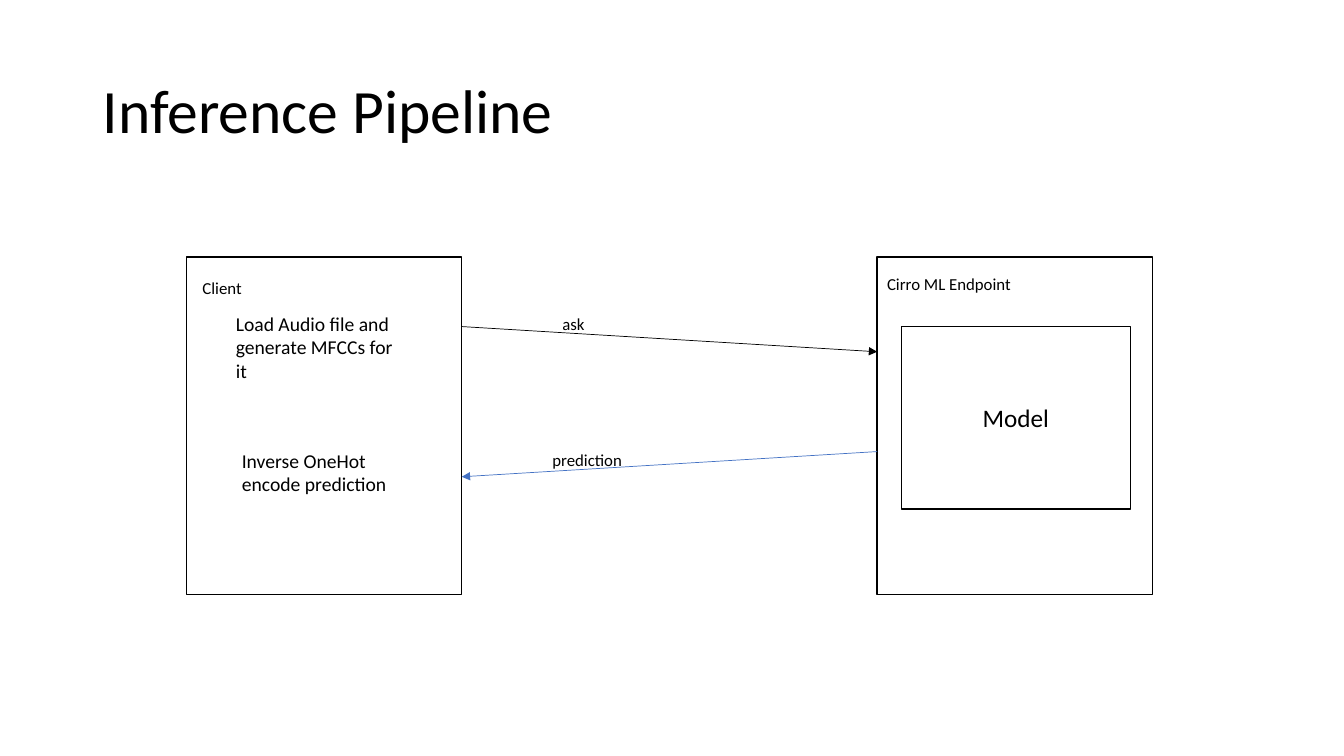
from lxml.etree import SubElement
from pptx import Presentation
from pptx.dml.color import RGBColor
from pptx.enum.shapes import MSO_CONNECTOR, MSO_SHAPE
from pptx.enum.text import MSO_ANCHOR, MSO_AUTO_SIZE, PP_ALIGN
from pptx.oxml.ns import qn
from pptx.util import Pt

EMU_PER_PX = 9144
COLORS = {"ink": "000000", "paper": "FFFFFF", "reply": "4472C4"}
CLIENT_LEFT, ENDPOINT_LEFT = 185, 870
PANEL_TOP, PANEL_WIDTH, PANEL_HEIGHT = 255, 273, 335
CLIENT_RIGHT = CLIENT_LEFT + PANEL_WIDTH


def px(*lengths):
    return [length * EMU_PER_PX for length in lengths]


def color(name):
    return RGBColor.from_string(COLORS[name])


def write(box, text, size, frame_format, para_format):
    frame = box.text_frame
    frame.text = text
    para = frame.paragraphs[0]
    span = para.runs[0]
    for target, values in (
        (frame, {"word_wrap": True, **frame_format}),
        (para, para_format),
        (span.font, {"name": "Calibri", "size": Pt(size)}),
    ):
        for key, value in values.items():
            setattr(target, key, value)
    span.font.color.rgb = color("ink")


def add_title(page, text):
    title = page.shapes.title
    title.left, title.top, title.width, title.height = px(92, 40, 1150, 145)
    write(title, text, 44,
          {"vertical_anchor": MSO_ANCHOR.MIDDLE, "auto_size": MSO_AUTO_SIZE.NONE},
          {"alignment": PP_ALIGN.LEFT, "line_spacing": 0.9})


def add_panel(page, left, top, width, height, text=None):
    panel = page.shapes.add_shape(MSO_SHAPE.RECTANGLE, *px(left, top, width, height))
    panel.shadow.inherit = False
    panel.fill.solid()
    panel.fill.fore_color.rgb = color("paper")
    panel.line.color.rgb = color("ink")
    panel.line.width = Pt(1)
    if text:
        write(panel, text, 18, {"vertical_anchor": MSO_ANCHOR.MIDDLE},
              {"alignment": PP_ALIGN.CENTER})


def add_label(page, text, left, top, width, height=30, size=12):
    label = page.shapes.add_textbox(*px(left, top, width, height))
    write(label, text, size, {"auto_size": MSO_AUTO_SIZE.SHAPE_TO_FIT_TEXT}, {})


def add_arrow(page, start, end, color_name):
    arrow = page.shapes.add_connector(MSO_CONNECTOR.STRAIGHT, *px(*start, *end))
    arrow.line.color.rgb = color(color_name)
    arrow.line.width = Pt(0.5)
    properties = arrow.element.spPr
    SubElement(properties.find(qn("a:ln")), qn("a:tailEnd"), type="triangle")
    SubElement(properties, qn("a:effectLst"))


def main():
    deck = Presentation()
    deck.slide_width, deck.slide_height = px(1333, 750)
    page = deck.slides.add_slide(deck.slide_layouts[5])
    add_title(page, "Inference Pipeline")

    for left in (ENDPOINT_LEFT, CLIENT_LEFT):
        add_panel(page, left, PANEL_TOP, PANEL_WIDTH, PANEL_HEIGHT)
    add_panel(page, 894, 324, 227, 181, "Model")

    add_arrow(page, (CLIENT_RIGHT, 324), (ENDPOINT_LEFT, 349), "ink")
    add_arrow(page, (ENDPOINT_LEFT, 448), (CLIENT_RIGHT, 473), "reply")

    add_label(page, "Client", 191, 271, 87)
    add_label(page, "Cirro ML Endpoint", ENDPOINT_LEFT, 267, 203)
    add_label(page, "ask", 548, 306, 84)
    add_label(page, "prediction", 538, 441, 89)
    add_label(page, "Load Audio file and generate MFCCs for it", 224, 304, 185, 81, 14)
    add_label(page, "Inverse OneHot encode prediction", 230, 440, 185, 57, 14)

    deck.save("out.pptx")


if __name__ == "__main__":
    main()
